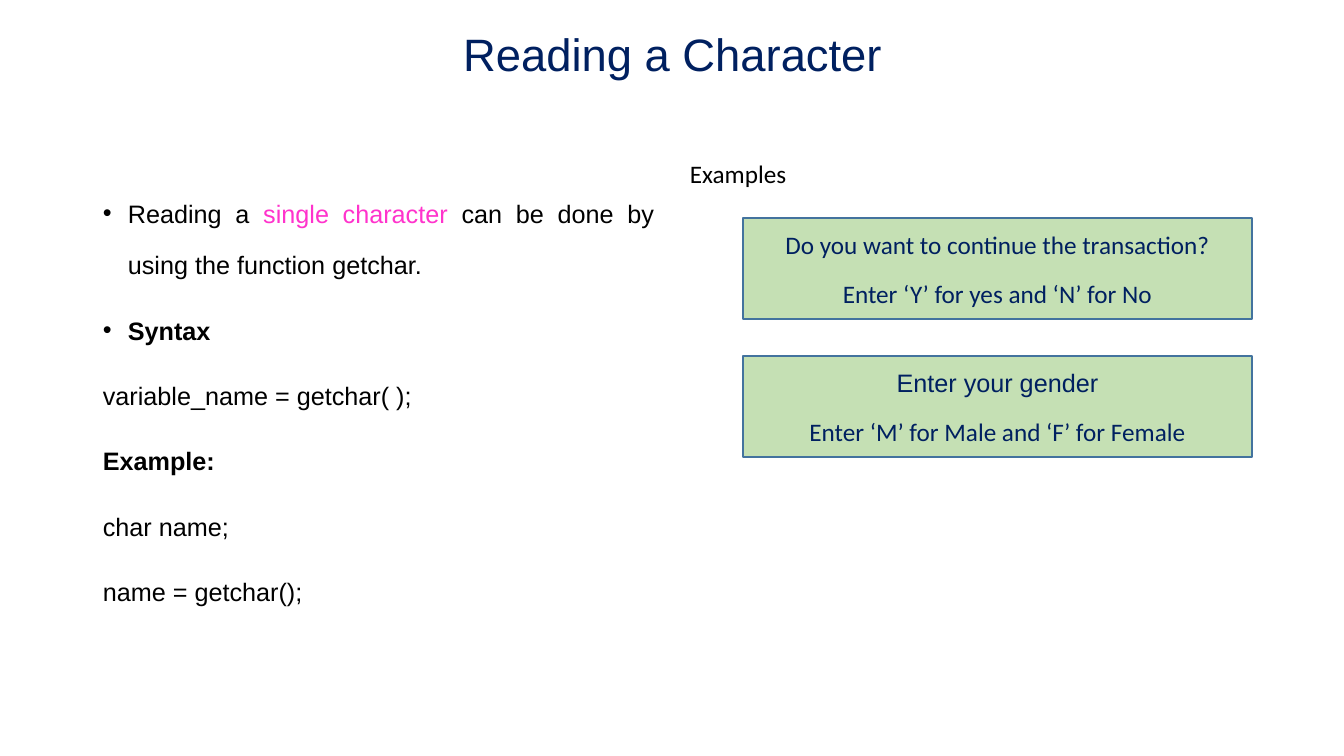
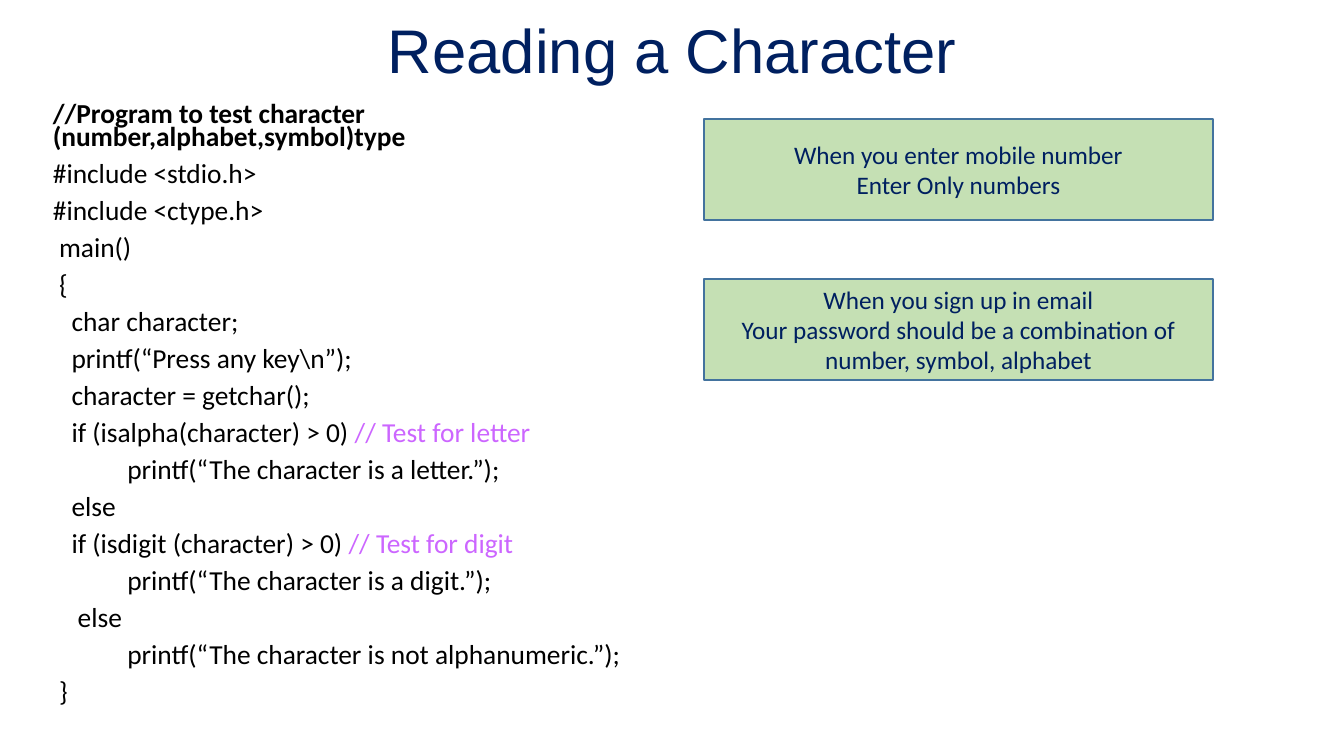
from lxml.etree import SubElement
from pptx import Presentation
from pptx.dml.color import RGBColor
from pptx.enum.shapes import MSO_SHAPE
from pptx.enum.text import MSO_ANCHOR, MSO_AUTO_SIZE, PP_ALIGN
from pptx.oxml.ns import qn
from pptx.util import Emu, Pt

# Shared scale, colours and fonts
PX = 914400 / 100.8
NAVY, BLACK, PINK, VIOLET = "002060", "000000", "FF33CC", "CC66FF"
GREEN, BLUE = "C5E0B4", "43739E"
SANS, TEXT = "Arial", "Calibri"
NOTE_SIZE = (509, 101)
BULLET_INDENT = 25
SPACE_WIDTH = 6.2  # px, one leading space of code

FRAME = {"word_wrap": True, "auto_size": MSO_AUTO_SIZE.NONE}
CENTRED = {"alignment": PP_ALIGN.CENTER}
LIST_FORMAT = {"alignment": PP_ALIGN.JUSTIFY, "line_spacing": 1.7, "space_before": Pt(10)}
CODE_FORMAT = {"line_spacing": 0.7, "space_before": Pt(10)}

# Each line: bulleted, then spans of (text, formats)
SYNTAX = [
    (True, [("Reading a ", {}), ("single character ", {"color": PINK}),
            ("can be done by using the function getchar.", {})]),
    (True, [("Syntax", {"bold": True})]),
    (False, [("variable_name = getchar( );", {})]),
    (False, [("Example:", {"bold": True})]),
    (False, [("char name;", {})]),
    (False, [("name = getchar();", {})]),
]

# Each line: indent in spaces, code, trailing comment
PROGRAM = [
    (0, "#include <stdio.h>", ""),
    (0, "#include <ctype.h>", ""),
    (1, "main()", ""),
    (1, "{", ""),
    (3, "char character;", ""),
    (3, "printf(“Press any key\\n”);", ""),
    (3, "character = getchar();", ""),
    (3, "if (isalpha(character) > 0) ", "// Test for letter"),
    (12, "printf(“The character is a letter.”);", ""),
    (3, "else", ""),
    (3, "if (isdigit (character) > 0) ", "// Test for digit"),
    (12, "printf(“The character is a digit.”);", ""),
    (4, "else", ""),
    (12, "printf(“The character is not alphanumeric.”);", ""),
    (1, "}", ""),
]


def px(value):
    return Emu(round(value * PX))


def rgb(value):
    return RGBColor.from_string(value)


def set_all(target, formats):
    for name, value in formats.items():
        setattr(target, name, value)


def add_span(para, text, size, font=TEXT, color=BLACK, bold=False):
    span = para.add_run()
    span.text = text
    set_all(span.font, {"size": Pt(size), "name": font, "bold": bold})
    span.font.color.rgb = rgb(color)


def add_para(frame, formats, indent=0, bullet=False):
    first = frame.paragraphs[0]
    para = frame.add_paragraph() if first.runs else first
    set_all(para, formats)
    if indent:
        properties = para._p.get_or_add_pPr()
        properties.set("marL", str(px(indent)))
        if bullet:
            properties.set("indent", str(-px(indent)))
            SubElement(properties, qn("a:buFont"), typeface=SANS)
            SubElement(properties, qn("a:buChar"), char="•")
    return para


def add_titled_slide(deck, top, height, size):
    page = deck.slides.add_slide(deck.slide_layouts[5])
    title = page.shapes.title
    set_all(title, {"left": px(93), "top": px(top), "width": px(1159), "height": px(height)})
    frame = title.text_frame
    set_all(frame, FRAME | {"vertical_anchor": MSO_ANCHOR.MIDDLE})
    para = add_para(frame, CENTRED | {"line_spacing": 0.9})
    add_span(para, "Reading a Character", size, SANS, NAVY)
    return page


def add_text_box(page, left, top, width, height):
    box = page.shapes.add_textbox(px(left), px(top), px(width), px(height))
    set_all(box.text_frame, FRAME)
    return box.text_frame


def add_note(page, left, top, lines, gap=0):
    """Green box with centred lines of (text, font)."""
    box = page.shapes.add_shape(MSO_SHAPE.RECTANGLE, px(left), px(top), *map(px, NOTE_SIZE))
    box.shadow.inherit = False
    box.fill.solid()
    box.fill.fore_color.rgb = rgb(GREEN)
    box.line.color.rgb = rgb(BLUE)
    box.line.width = Pt(1)
    frame = box.text_frame
    set_all(frame, FRAME | {"vertical_anchor": MSO_ANCHOR.MIDDLE})
    for index, (text, font) in enumerate(lines):
        para = add_para(frame, CENTRED | {"space_before": Pt(gap if index else 0)})
        add_span(para, text, 18, font, NAVY)


def build_syntax_slide(deck):
    page = add_titled_slide(deck, 12, 89, 32.4)

    # Explanation and syntax
    frame = add_text_box(page, 93, 172, 571, 550)
    for bullet, spans in SYNTAX:
        para = add_para(frame, LIST_FORMAT, BULLET_INDENT if bullet else 0, bullet)
        for text, formats in spans:
            add_span(para, text, 18, SANS, **formats)

    # Examples
    frame = add_text_box(page, 680, 157, 617, 599)
    add_span(add_para(frame, {"line_spacing": 0.9, "space_before": Pt(10)}), "Examples", 18)
    add_note(page, 743, 218, [("Do you want to continue the transaction?", TEXT),
                              ("Enter ‘Y’ for yes and ‘N’ for No", TEXT)], gap=13.4)
    add_note(page, 743, 356, [("Enter your gender", SANS),
                              ("Enter ‘M’ for Male and ‘F’ for Female", TEXT)], gap=13.4)


def build_program_slide(deck):
    page = add_titled_slide(deck, 8, 92, 44)

    # Program listing
    frame = add_text_box(page, 43, 100, 621, 646)
    heading = add_para(frame, CODE_FORMAT)
    add_span(heading, "//Program to test character (number,alphabet,symbol)type", 19.6, bold=True)
    for spaces, code, comment in PROGRAM:
        para = add_para(frame, CODE_FORMAT, spaces * SPACE_WIDTH)
        add_span(para, code, 19.6)
        if comment:
            add_span(para, comment, 19.6, color=VIOLET)

    # Everyday cases
    add_note(page, 704, 119, [("When you enter mobile number", TEXT),
                              ("Enter Only numbers", TEXT)])
    add_note(page, 704, 279, [
        ("When you sign up in email", TEXT),
        ("Your password should be a combination of number, symbol, alphabet", TEXT)])


def main():
    deck = Presentation()
    set_all(deck, {"slide_width": px(1344), "slide_height": px(756)})
    build_syntax_slide(deck)
    build_program_slide(deck)
    deck.save("out.pptx")


if __name__ == "__main__":
    main()
